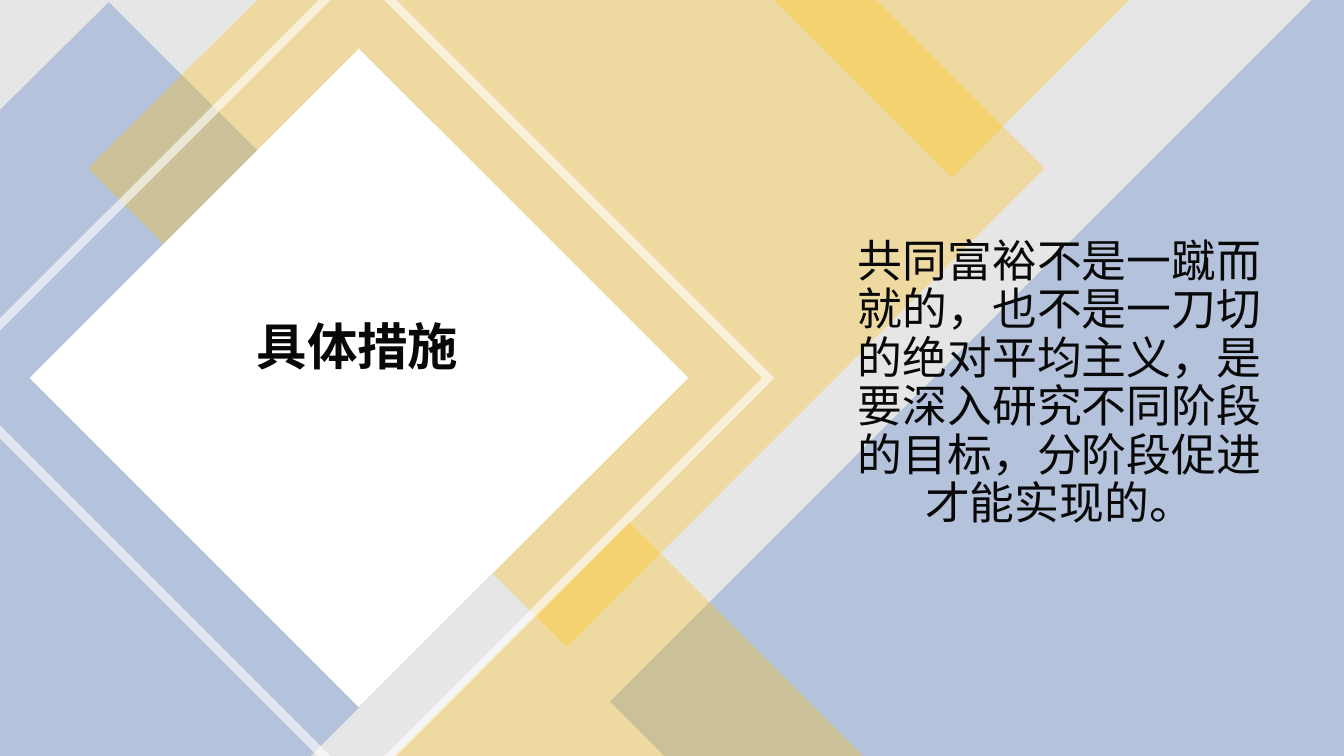
import pptx
import pptx.util
import pptx.dml.color
import pptx.enum.shapes
import pptx.enum.text
import pptx.oxml
import pptx.oxml.ns

Inches, Pt = pptx.util.Inches, pptx.util.Pt
RGBColor = pptx.dml.color.RGBColor
SHAPE = pptx.enum.shapes.MSO_SHAPE
qn = pptx.oxml.ns.qn

GREY = RGBColor(0xE7, 0xE6, 0xE6)
BLUE = RGBColor(0x44, 0x72, 0xC4)
GOLD = RGBColor(0xFF, 0xC0, 0x00)
WHITE = RGBColor(0xFF, 0xFF, 0xFF)
INK = RGBColor(0x08, 0x08, 0x08)
FONT = "Noto Sans CJK SC"
W, H = 13.33, 7.5


def paint(shape, color, opacity=100):
    shape.shadow.inherit = False
    shape.line.fill.background()
    shape.fill.solid()
    shape.fill.fore_color.rgb = color
    if opacity < 100:
        clr = shape.fill._xPr.find(qn("a:solidFill"))[0]
        clr.append(pptx.oxml.parse_xml(
            '<a:alpha xmlns:a="http://schemas.openxmlformats.org/drawingml/2006/main"'
            f' val="{opacity * 1000}"/>'))


def write(paragraph, text, size, bold):
    paragraph.alignment = pptx.enum.text.PP_ALIGN.CENTER
    paragraph.line_spacing = 0.9
    run = paragraph.add_run()
    run.text = text
    run.font.name, run.font.size, run.font.bold = FONT, Pt(size), bold
    run.font.color.rgb = INK
    east_asian = run.font._element.makeelement(qn("a:ea"), {"typeface": FONT})
    run.font._element.find(qn("a:latin")).addnext(east_asian)


deck = pptx.Presentation()
deck.slide_width, deck.slide_height = Inches(W), Inches(H)
slide = deck.slides.add_slide(deck.slide_layouts[5])
shapes = slide.shapes

# Grey backdrop
backdrop = shapes.add_shape(SHAPE.RECTANGLE, 0, 0, deck.slide_width, deck.slide_height)
paint(backdrop, GREY)

# Translucent bands cut off by the slide edges
blue_left = [(1.08, 0.02), (5.82, 4.76), (3.08, H), (0, H), (0, 1.09)]
gold_centre = [(2.55, 0), (8.69, 0), (10.36, 1.67), (5.62, 6.42), (0.87, 1.67)]
blue_right = [(13.01, 0), (W, 0), (W, H), (6.59, H), (6.05, 6.96)]
gold_top = [(7.68, 0), (11.2, 0), (9.44, 1.76)]
gold_bottom = [(3.92, H), (6.24, 5.18), (8.56, H)]

# Thin frame around the diamond, in three visible pieces
frame_pieces = [
    [(0, 4.22), (3.28, H), (3.15, H), (0, 4.35)],
    [(3.81, 0), (3.93, 0), (7.68, 3.75), (3.94, H), (3.81, H), (7.56, 3.75)],
    [(3.16, 0), (3.28, 0), (0, 3.28), (0, 3.16)],
]

layers = [
    ([blue_left], BLUE, 30),
    ([gold_centre], GOLD, 30),
    ([blue_right], BLUE, 30),
    (None, WHITE, 100),  # the title diamond
    (frame_pieces, WHITE, 60),
    ([gold_top], GOLD, 30),
    ([gold_bottom], GOLD, 30),
]
for outlines, color, opacity in layers:
    if outlines is None:
        layer = shapes.add_shape(SHAPE.RECTANGLE, Inches(1.25), Inches(1.44),
                                 Inches(4.62), Inches(4.62))
        layer.rotation = 45
    else:
        # The pen keeps whole units only, so it draws in hundredths of an inch
        pen = None
        for outline in outlines:
            corners = [(round(x * 100), round(y * 100)) for x, y in outline]
            if pen is None:
                pen = shapes.build_freeform(*corners[0], scale=Inches(0.01))
            else:
                pen.move_to(*corners[0])
            pen.add_line_segments(corners[1:], close=True)
        layer = pen.convert_to_shape()
    paint(layer, color, opacity)

# Title, brought in front of the diamond and lifted above its middle
title = shapes.title
shapes._spTree.append(title._element)
title.left, title.top = Inches(1.22), Inches(2.68)
title.width, title.height = Inches(4.65), Inches(2.14)
title.text_frame.vertical_anchor = pptx.enum.text.MSO_ANCHOR.MIDDLE
title.text_frame.margin_bottom = Inches(0.62)
write(title.text_frame.paragraphs[0], "具体措施", 36, True)

# Statement on the right
statement = shapes.add_textbox(Inches(8.4), Inches(2.32), Inches(4.22), Inches(3))
statement.text_frame.word_wrap = True
write(statement.text_frame.paragraphs[0],
      "共同富裕不是一蹴而就的，也不是一刀切的绝对平均主义，"
      "是要深入研究不同阶段的目标，分阶段促进才能实现的。", 32, False)

deck.save("out.pptx")
